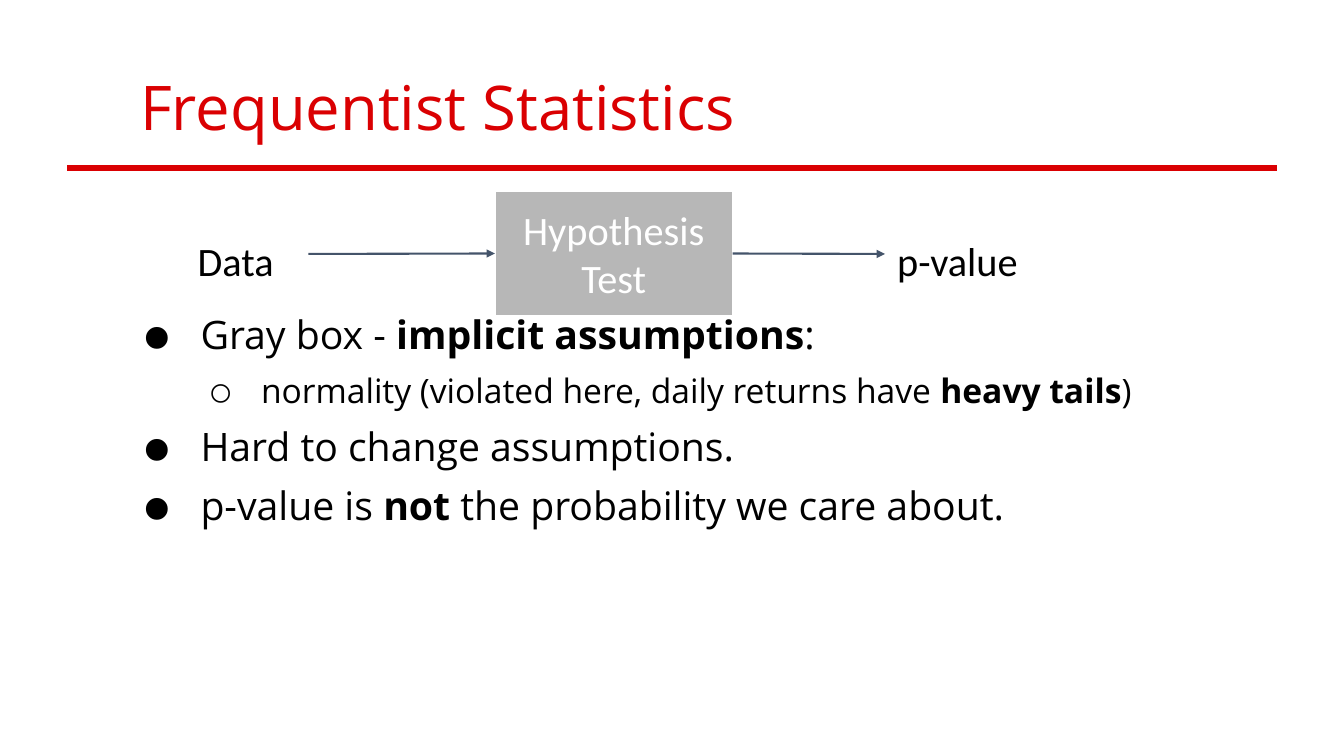
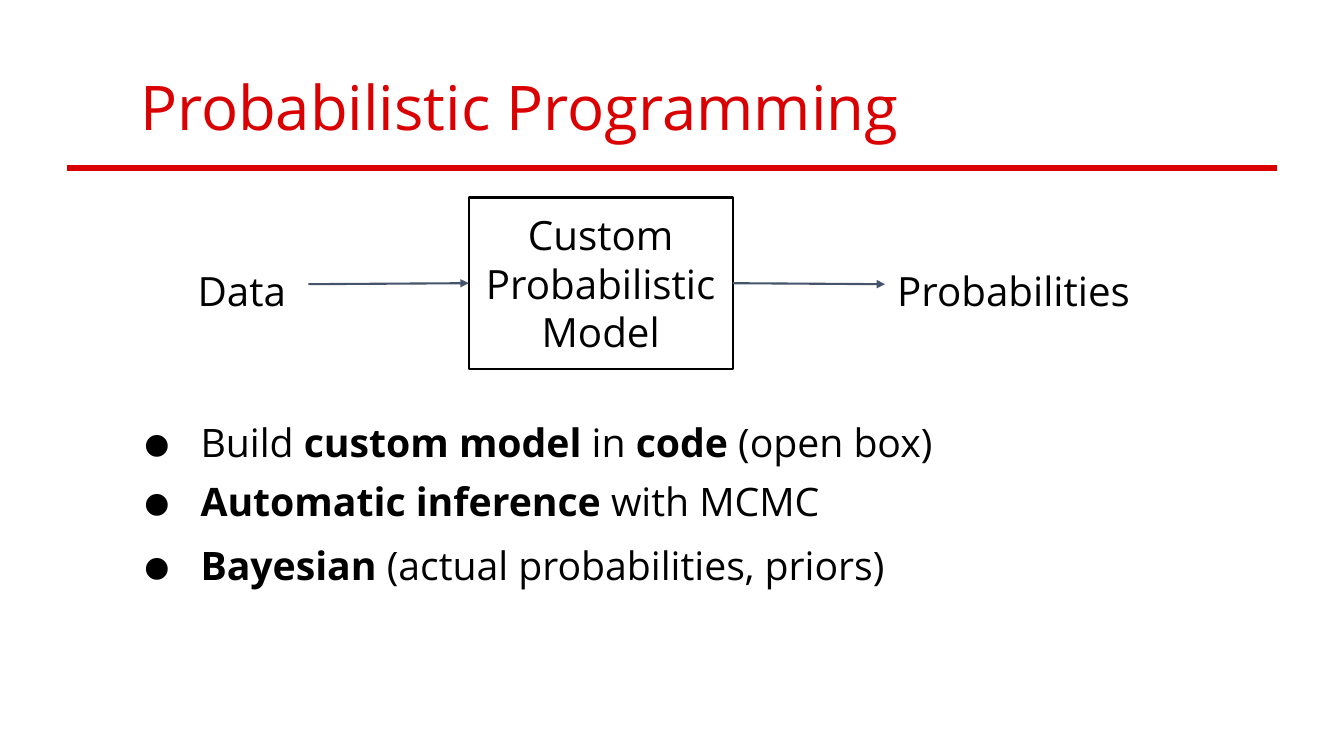
from dataclasses import dataclass
from typing import Optional

from lxml import etree
from pptx import Presentation
from pptx.dml.color import RGBColor
from pptx.enum import shapes as kinds, text as txt
from pptx.oxml import ns
from pptx.util import Pt

COLOURS = {
    "red": "DA0002",
    "gray": "B7B7B7",
    "white": "FFFFFF",
    "black": "000000",
    "slate": "44546A",
}
SANS = "Open Sans"
INSET = 8.64
MARGIN_LEFT, CONTENT_WIDTH = 91.4, 777.6
RULE_LEFT, RULE_RIGHT, RULE_TOP = 48, 912, 120.2
INPUT_LEFT, INPUT_WIDTH = 132.5, 87.8
OUTPUT_LEFT, OUTPUT_WIDTH = 632.2, 194.4
LABEL_HEIGHT = 43.2
BOX_RIGHT = 523.4
LEFT_SITE, RIGHT_SITE = 1, 3


@dataclass(frozen=True)
class Level:
    size: float
    margin: float
    indent: float
    bullet: str


LEVELS = [Level(28, 43.2, -39.6, "⚫"), Level(24, 86.4, -36, "⚪")]


@dataclass(frozen=True)
class Bullet:
    """A list item; text between ** marks is bold."""
    text: str
    level: int = 0
    line_spacing: Optional[float] = 0.9


@dataclass(frozen=True)
class Flow:
    """Input label, process box and output label, joined by arrows."""
    process: str
    output: str
    font: str
    box_left: float
    box_top: float
    box_height: float
    label_top: float
    fill: str
    line: str
    ink: str


@dataclass(frozen=True)
class Topic:
    title: str
    flow: Flow
    list_top: float
    list_height: float
    bullets: list[Bullet]


TOPICS = [
    Topic(
        "Frequentist Statistics",
        Flow("Hypothesis\nTest", "p-value", "Calibri", 353.5, 136.1, 90, 159.8,
             "gray", "white", "white"),
        216.7, 223.2,
        [
            Bullet("Gray box - **implicit assumptions**:"),
            Bullet("normality (violated here, daily returns have **heavy tails**)", 1),
            Bullet("Hard to change assumptions."),
            Bullet("p-value is **not** the probability we care about."),
        ],
    ),
    Topic(
        "Probabilistic Programming",
        Flow("Custom\nProbabilistic\nModel", "Probabilities", SANS, 334.8, 141.1,
             122.4, 181.4, "white", "black", "black"),
        293.8, 178.6,
        [
            Bullet("Build **custom model** in **code **(open box)"),
            Bullet("**Automatic inference** with MCMC"),
            Bullet("**Bayesian** (actual probabilities, priors)", line_spacing=None),
        ],
    ),
]


def rgb(name: str) -> RGBColor:
    return RGBColor.from_string(COLOURS[name])


def place(shape, left: float, top: float, width: float, height: float) -> None:
    shape.left, shape.top = Pt(left), Pt(top)
    shape.width, shape.height = Pt(width), Pt(height)


def set_frame(frame, anchor=txt.MSO_ANCHOR.TOP) -> None:
    frame.word_wrap = True
    frame.auto_size = txt.MSO_AUTO_SIZE.NONE
    frame.vertical_anchor = anchor
    frame.margin_left = frame.margin_right = Pt(INSET)
    frame.margin_top = frame.margin_bottom = Pt(INSET)


def style_runs(paragraph, size: float, font: str, colour: str) -> None:
    for run in paragraph.runs:
        run.font.size = Pt(size)
        run.font.name = font
        run.font.color.rgb = rgb(colour)


def add_line(slide, start: tuple, end: tuple, colour: str, weight: float):
    line = slide.shapes.add_connector(
        kinds.MSO_CONNECTOR.STRAIGHT, *map(Pt, start + end))
    line.line.color.rgb = rgb(colour)
    line.line.width = Pt(weight)
    etree.SubElement(line.element.spPr, ns.qn("a:effectLst"))
    return line


def add_arrow(slide, source, target) -> None:
    """Join the right side of source to the left side of target."""
    arrow = add_line(slide, (0, 0), (0, 0), "slate", 1.5)
    arrow.begin_connect(source, RIGHT_SITE)
    arrow.end_connect(target, LEFT_SITE)
    outline = arrow.element.spPr.find(ns.qn("a:ln"))
    etree.SubElement(outline, ns.qn("a:tailEnd"), type="triangle")


def add_label(slide, text: str, left: float, top: float, width: float, font: str):
    label = slide.shapes.add_textbox(Pt(left), Pt(top), Pt(width), Pt(LABEL_HEIGHT))
    set_frame(label.text_frame)
    label.text_frame.text = text
    style_runs(label.text_frame.paragraphs[0], 28.8, font, "black")
    return label


def add_flow(slide, flow: Flow) -> None:
    box = slide.shapes.add_shape(
        kinds.MSO_SHAPE.RECTANGLE, Pt(flow.box_left), Pt(flow.box_top),
        Pt(BOX_RIGHT - flow.box_left), Pt(flow.box_height))
    box.shadow.inherit = False
    box.fill.solid()
    box.fill.fore_color.rgb = rgb(flow.fill)
    box.line.color.rgb = rgb(flow.line)
    box.line.width = Pt(1.5)
    set_frame(box.text_frame, txt.MSO_ANCHOR.MIDDLE)
    box.text_frame.text = flow.process
    for paragraph in box.text_frame.paragraphs:
        paragraph.alignment = txt.PP_ALIGN.CENTER
        style_runs(paragraph, 28.8, flow.font, flow.ink)

    data = add_label(slide, "Data", INPUT_LEFT, flow.label_top, INPUT_WIDTH, flow.font)
    result = add_label(slide, flow.output, OUTPUT_LEFT, flow.label_top,
                       OUTPUT_WIDTH, flow.font)
    add_arrow(slide, data, box)
    add_arrow(slide, box, result)


def set_title(slide, title: str) -> None:
    heading = slide.shapes.title
    place(heading, MARGIN_LEFT, 21.6, CONTENT_WIDTH, 90)
    set_frame(heading.text_frame, txt.MSO_ANCHOR.BOTTOM)
    heading.text_frame.text = title
    paragraph = heading.text_frame.paragraphs[0]
    paragraph.alignment = txt.PP_ALIGN.LEFT
    paragraph.line_spacing = 0.9
    style_runs(paragraph, 44, SANS, "red")


def write_bullet(paragraph, bullet: Bullet, space_before: float) -> None:
    level = LEVELS[bullet.level]
    paragraph.level = bullet.level
    paragraph.space_before = Pt(space_before)
    paragraph.line_spacing = bullet.line_spacing
    properties = paragraph._p.get_or_add_pPr()
    properties.set("marL", str(Pt(level.margin)))
    properties.set("indent", str(Pt(level.indent)))
    etree.SubElement(properties, ns.qn("a:buFont"), typeface=SANS)
    etree.SubElement(properties, ns.qn("a:buChar"), char=level.bullet)
    for position, part in enumerate(bullet.text.split("**")):
        if part:
            run = paragraph.add_run()
            run.text = part
            run.font.bold = position % 2 == 1
    style_runs(paragraph, level.size, SANS, "black")


def set_list(slide, topic: Topic) -> None:
    body = slide.placeholders[1]
    place(body, MARGIN_LEFT, topic.list_top, CONTENT_WIDTH, topic.list_height)
    frame = body.text_frame
    set_frame(frame)
    for index, bullet in enumerate(topic.bullets):
        paragraph = frame.add_paragraph() if index else frame.paragraphs[0]
        write_bullet(paragraph, bullet, 12 if index else 0)


def main() -> None:
    deck = Presentation()
    deck.slide_width, deck.slide_height = Pt(960), Pt(540)
    for topic in TOPICS:
        slide = deck.slides.add_slide(deck.slide_layouts[1])
        add_line(slide, (RULE_LEFT, RULE_TOP), (RULE_RIGHT, RULE_TOP), "red", 4)
        set_title(slide, topic.title)
        add_flow(slide, topic.flow)
        set_list(slide, topic)
    deck.save("out.pptx")


if __name__ == "__main__":
    main()
